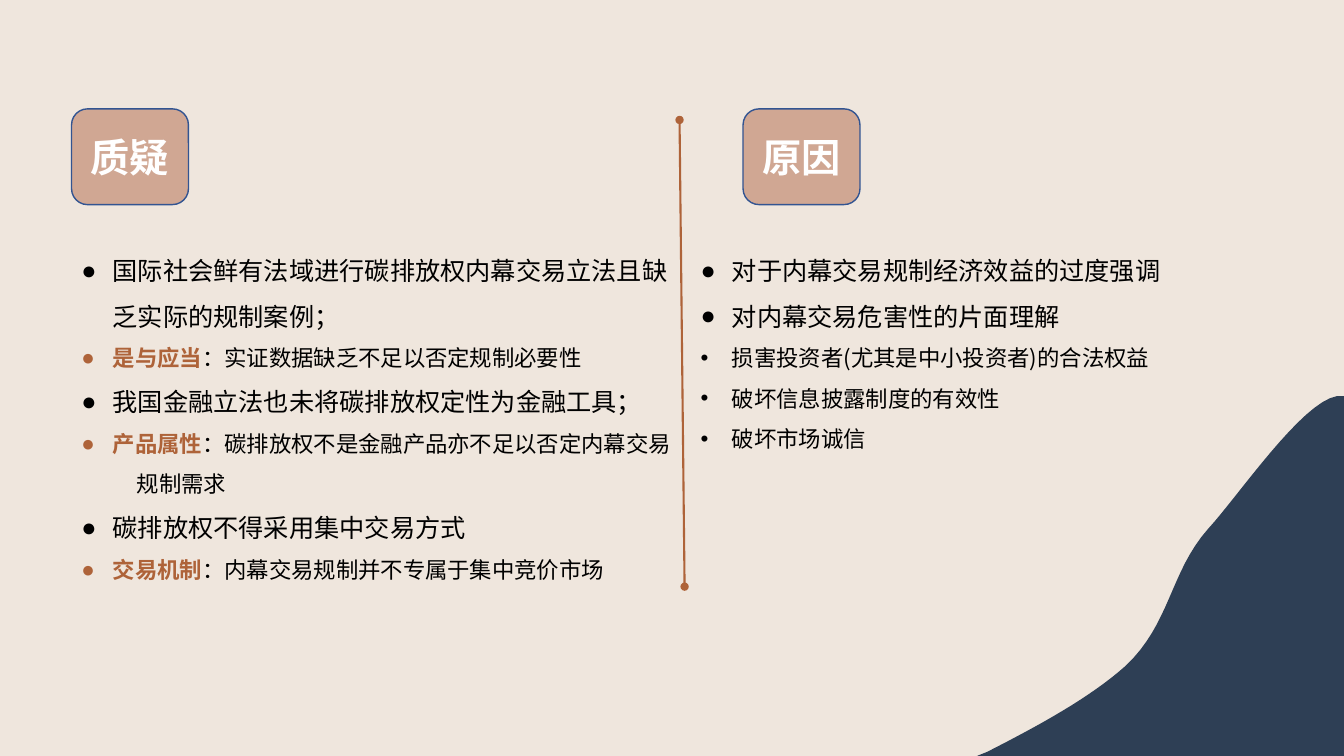
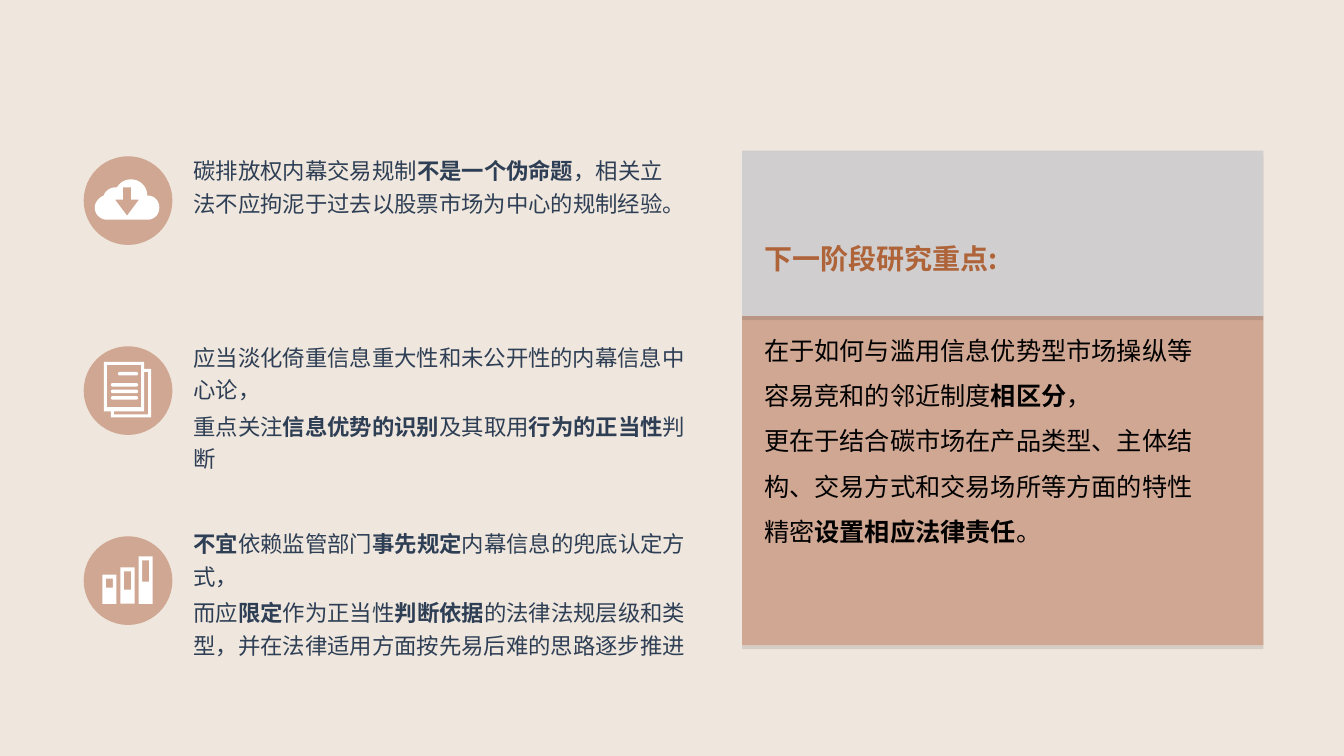
import lxml.etree
import pptx
import pptx.dml.color
import pptx.enum.shapes
import pptx.enum.text
import pptx.oxml
import pptx.oxml.ns
import pptx.util

COLOURS = {
    "sand": "EFE6DD", "clay": "D0A793", "rust": "AE6339", "navy": "2E3F55",
    "outline": "325491", "grey": "D0CECE", "white": "FFFFFF", "black": "000000",
}
RGB = {name: pptx.dml.color.RGBColor.from_string(code) for name, code in COLOURS.items()}
BODY_FONT = "Noto Sans CJK SC"
SHAPES = pptx.enum.shapes.MSO_SHAPE
qn = pptx.oxml.ns.qn
DRAWING = pptx.oxml.ns.nsdecls("a")

deck = pptx.Presentation()
deck.slide_width = pptx.util.Inches(13.33)
deck.slide_height = pptx.util.Inches(7.5)
CELL = deck.slide_height // 75  # square grid: 75 rows, 133.3 columns
COLUMNS = deck.slide_width / CELL

background = deck.slide_master.background.fill
background.solid()
background.fore_color.rgb = RGB["sand"]
blank = deck.slide_layouts[6]


def write(frame, paragraphs, font=BODY_FONT):
    """Fill a frame with paragraph dicts; text between ** marks is bold."""
    for number, style in enumerate(paragraphs):
        para = frame.add_paragraph() if number else frame.paragraphs[0]
        for name, value in style.get("format", {}).items():
            setattr(para, name, value)
        if "indent" in style:
            properties = para._p.get_or_add_pPr()
            properties.set("marL", str(round(style["indent"] * CELL)))
            properties.set("indent", "0")
            if "bullet" in style:
                properties.set("indent", str(-round(style["indent"] * CELL)))
                bullet_font = lxml.etree.SubElement(properties, qn("a:buFont"))
                bullet_font.set("typeface", "Arial")
                bullet = lxml.etree.SubElement(properties, qn("a:buChar"))
                bullet.set("char", style["bullet"])
        colour = style.get("colour", "black")
        for part, text in enumerate(style["text"].split("**")):
            if not text:
                continue
            bold = part % 2 == 1
            span = para.add_run()
            span.text = text
            for name, value in {"name": font, "size": pptx.util.Pt(style["size"]), "bold": bold}.items():
                setattr(span.font, name, value)
            span.font.color.rgb = RGB[style.get("accent", colour) if bold else colour]
            east_asian = lxml.etree.SubElement(span._r.get_or_add_rPr(), qn("a:ea"))
            east_asian.set("typeface", font)


def draw_outline(page, contours, colour):
    """Draw one freeform; a step of 2 numbers is a line, of 6 a Bézier curve."""
    builder = None
    for start, *steps in contours:
        x, y = start
        points = []
        for step in steps:
            if len(step) == 2:
                points.append(step)
            else:
                x1, y1, x2, y2, x3, y3 = step
                for t in [count / 16 for count in range(1, 17)]:
                    weights = (1 - t) ** 3, 3 * t * (1 - t) ** 2, 3 * t * t * (1 - t), t ** 3
                    points.append(tuple(
                        sum(weight * value for weight, value in zip(weights, axis))
                        for axis in ((x, x1, x2, x3), (y, y1, y2, y3))))
            x, y = points[-1]
        if builder is None:
            builder = page.shapes.build_freeform(start[0] * CELL, start[1] * CELL, 1)
        else:
            builder.move_to(start[0] * CELL, start[1] * CELL)
        builder.add_line_segments([(px * CELL, py * CELL) for px, py in points], close=True)
    shape = builder.convert_to_shape()
    shape.shadow.inherit = False
    shape.fill.solid()
    shape.fill.fore_color.rgb = RGB[colour]
    shape.line.fill.background()


# Slide 1: doubts and their causes
page = deck.slides.add_slide(blank)
point = {"size": 18, "indent": 3.1, "bullet": "●", "format": {"line_spacing": 1.5}}
reply = {**point, "size": 16, "accent": "rust"}
detail = {**point, "size": 16, "bullet": "•"}
continuation = {"size": 16, "indent": 5.5, "format": {"line_spacing": 1.5}}
topics = [
    ("质疑", 7.1, 7.1, [
        {**point, "text": "国际社会鲜有法域进行碳排放权内幕交易立法且缺乏实际的规制案例；"},
        {**reply, "text": "**是与应当**：实证数据缺乏不足以否定规制必要性"},
        {**point, "text": "我国金融立法也未将碳排放权定性为金融工具；"},
        {**reply, "text": "**产品属性**：碳排放权不是金融产品亦不足以否定内幕交易"},
        {**continuation, "text": "规制需求"},
        {**point, "text": "碳排放权不得采用集中交易方式"},
        {**reply, "text": "**交易机制**：内幕交易规制并不专属于集中竞价市场"},
    ]),
    ("原因", 73.7, 68.5, [
        {**point, "text": "对于内幕交易规制经济效益的过度强调"},
        {**point, "text": "对内幕交易危害性的片面理解"},
        {**detail, "text": "损害投资者(尤其是中小投资者)的合法权益"},
        {**detail, "text": "破坏信息披露制度的有效性"},
        {**detail, "text": "破坏市场诚信"},
    ]),
]
for heading, badge_left, text_left, paragraphs in topics:
    place = (badge_left, 10.8, 11.6, 9.5)
    badge = page.shapes.add_shape(SHAPES.ROUNDED_RECTANGLE, *[round(v * CELL) for v in place])
    badge.shadow.inherit = False
    badge.fill.solid()
    badge.fill.fore_color.rgb = RGB["clay"]
    badge.line.color.rgb = RGB["outline"]
    badge.line.width = pptx.util.Pt(1)
    badge.text_frame.margin_left = badge.text_frame.margin_right = 0
    centred = {"alignment": pptx.enum.text.PP_ALIGN.CENTER}
    write(badge.text_frame,
          [{"text": f"**{heading}**", "size": 28, "colour": "white", "format": centred}], "Arial")

    place = (text_left, 23.35, 61.5, 35.8)
    box = page.shapes.add_textbox(*[round(v * CELL) for v in place])
    box.text_frame.word_wrap = True
    write(box.text_frame, paragraphs)

ends = (67.4, 11.9, 67.9, 58.2)
divider = page.shapes.add_connector(
    pptx.enum.shapes.MSO_CONNECTOR.STRAIGHT, *[round(v * CELL) for v in ends])
divider.line.color.rgb = RGB["rust"]
divider.line.width = pptx.util.Pt(1.5)
for end in ("a:headEnd", "a:tailEnd"):
    lxml.etree.SubElement(divider.line._get_or_add_ln(), qn(end)).set("type", "oval")
lxml.etree.SubElement(divider._element.spPr, qn("a:effectLst"))

wave = [
    (COLUMNS, 75), (96.9, 75), (97.9, 74.6),
    (103.2, 71.9, 108.1, 69.2, 111.6, 66.1),
    (116.1, 61.9, 116, 56.8, 119.8, 52.5),
    (122.9, 49.1, 129.1, 39.9, 132.6, 39.3), (COLUMNS, 39.3),
]
draw_outline(page, [wave], "navy")

# Slide 2: conclusions and the next research stage
page = deck.slides.add_slide(blank)
first = {"size": 16, "colour": "navy", "format": {"line_spacing": 1.2}}
later = {**first, "format": {"line_spacing": 1.2, "space_before": pptx.util.Pt(3.2)}}
conclusions = [
    (48.5, [
        {**first, "text": "碳排放权内幕交易规制**不是一个伪命题**，相关立法不应拘泥于过去以股票市场为中心的规制经验。"},
    ]),
    (49.3, [
        {**first, "text": "应当淡化倚重信息重大性和未公开性的内幕信息中心论，"},
        {**later, "text": "重点关注**信息优势的识别**及其取用**行为的正当性**判断"},
    ]),
    (50.5, [
        {**first, "text": "**不宜**依赖监管部门**事先规定**内幕信息的兜底认定方式，"},
        {**later, "text": "而应**限定**作为正当性**判断依据**的法律法规层级和类型，并在法律适用方面按先易后难的思路逐步推进"},
    ]),
]
for row, (width, paragraphs) in enumerate(conclusions):
    place = (8.3, 15.5 + 18.85 * row, 8.8, 8.8)
    disc = page.shapes.add_shape(SHAPES.OVAL, *[round(v * CELL) for v in place])
    disc.shadow.inherit = False
    disc.fill.solid()
    disc.fill.fore_color.rgb = RGB["clay"]
    disc.line.fill.background()

    place = (19.2, 15.1 + 18.5 * row, width, 13.5)
    box = page.shapes.add_textbox(*[round(v * CELL) for v in place])
    margins = dict.fromkeys(("margin_left", "margin_top", "margin_right", "margin_bottom"), 0)
    for name, value in {**margins, "word_wrap": True}.items():
        setattr(box.text_frame, name, value)
    write(box.text_frame, paragraphs)

cloud = [
    (14.6, 19.4), (14.6, 18.5, 13.9, 17.8, 13, 17.8), (12.4, 17.8, 11.9, 18.1, 11.6, 18.6),
    (11.6, 18.6, 11.5, 18.6, 11.4, 18.6), (10.9, 18.6, 10.4, 19, 10.3, 19.4),
    (9.8, 19.6, 9.4, 20.1, 9.4, 20.6), (9.4, 21.3, 10, 21.8, 10.6, 21.8), (14.6, 21.8),
    (15.3, 21.8, 15.8, 21.3, 15.8, 20.6), (15.8, 19.9, 15.3, 19.4, 14.6, 19.4),
]
arrow = [(12.6, 21.4), (11.4, 19.8), (12.2, 19.8), (12.2, 18.6),
         (13, 18.6), (13, 19.8), (13.8, 19.8)]
draw_outline(page, [cloud, arrow], "white")

sheets = [(10.3, 35.9), (14.3, 35.9), (14.3, 36.6), (15, 36.6),
          (15, 41.4), (11, 41.4), (11, 40.8), (10.3, 40.8)]
front = [(10.6, 36.2), (10.6, 40.4), (14, 40.4), (14, 36.2)]
back = [(14.7, 41.1), (11.3, 41.1), (11.3, 40.8), (14.3, 40.8), (14.3, 36.9), (14.7, 36.9)]
draw_outline(page, [sheets, front, back], "white")
for left, top in ((11.7, 36.9), (11, 38), (11, 38.65), (11, 39.3)):
    place = (left, top, 13.7 - left, 0.35)
    text_line = page.shapes.add_shape(SHAPES.ROUNDED_RECTANGLE, *[round(v * CELL) for v in place])
    text_line.adjustments[0] = 0.5
    text_line.shadow.inherit = False
    text_line.fill.solid()
    text_line.fill.fore_color.rgb = RGB["white"]
    text_line.line.fill.background()

for bar, (top, window_bottom) in enumerate(((57, 58.3), (56.3, 58.5), (55.2, 57.7))):
    left = 10.15 + 1.8 * bar
    draw_outline(page, [
        [(x1, y1), (x2, y1), (x2, y2), (x1, y2)]
        for x1, y1, x2, y2 in ((left, top, left + 1.4, 59.9),
                               (left + 0.35, top + 0.4, left + 1.05, window_bottom))
    ], "white")

shadow = (f'<a:effectLst {DRAWING}><a:outerShdw blurRad="0" dist="{pptx.util.Pt(3)}" dir="5400000" '
          'algn="t" rotWithShape="0"><a:srgbClr val="000000"><a:alpha val="10000"/></a:srgbClr>'
          '</a:outerShdw></a:effectLst>')
for top, height, colour in ((31.3, 32.7, "clay"), (14.95, 16.4, "grey")):
    place = (73.6, top, 51.7, height)
    panel = page.shapes.add_shape(SHAPES.RECTANGLE, *[round(v * CELL) for v in place])
    panel.fill.solid()
    panel.fill.fore_color.rgb = RGB[colour]
    panel.line.fill.background()
    panel._element.spPr.append(pptx.oxml.parse_xml(shadow))

spaced = {"line_spacing": 1.5}
box = page.shapes.add_textbox(*[round(v * CELL) for v in (74.8, 21.8, 45.9, 33.3)])
box.text_frame.word_wrap = True
write(box.text_frame, [
    {"text": "**下一阶段研究重点:**", "size": 20, "colour": "rust", "format": spaced},
    {"text": "在于如何与滥用信息优势型市场操纵等容易竞和的邻近制度**相区分**，",
     "size": 18, "format": {**spaced, "space_before": pptx.util.Pt(32)}},
    {"text": "更在于结合碳市场在产品类型、主体结构、交易方式和交易场所等方面的特性精密**设置相应法律责任**。",
     "size": 18, "format": spaced},
])

deck.save("out.pptx")
